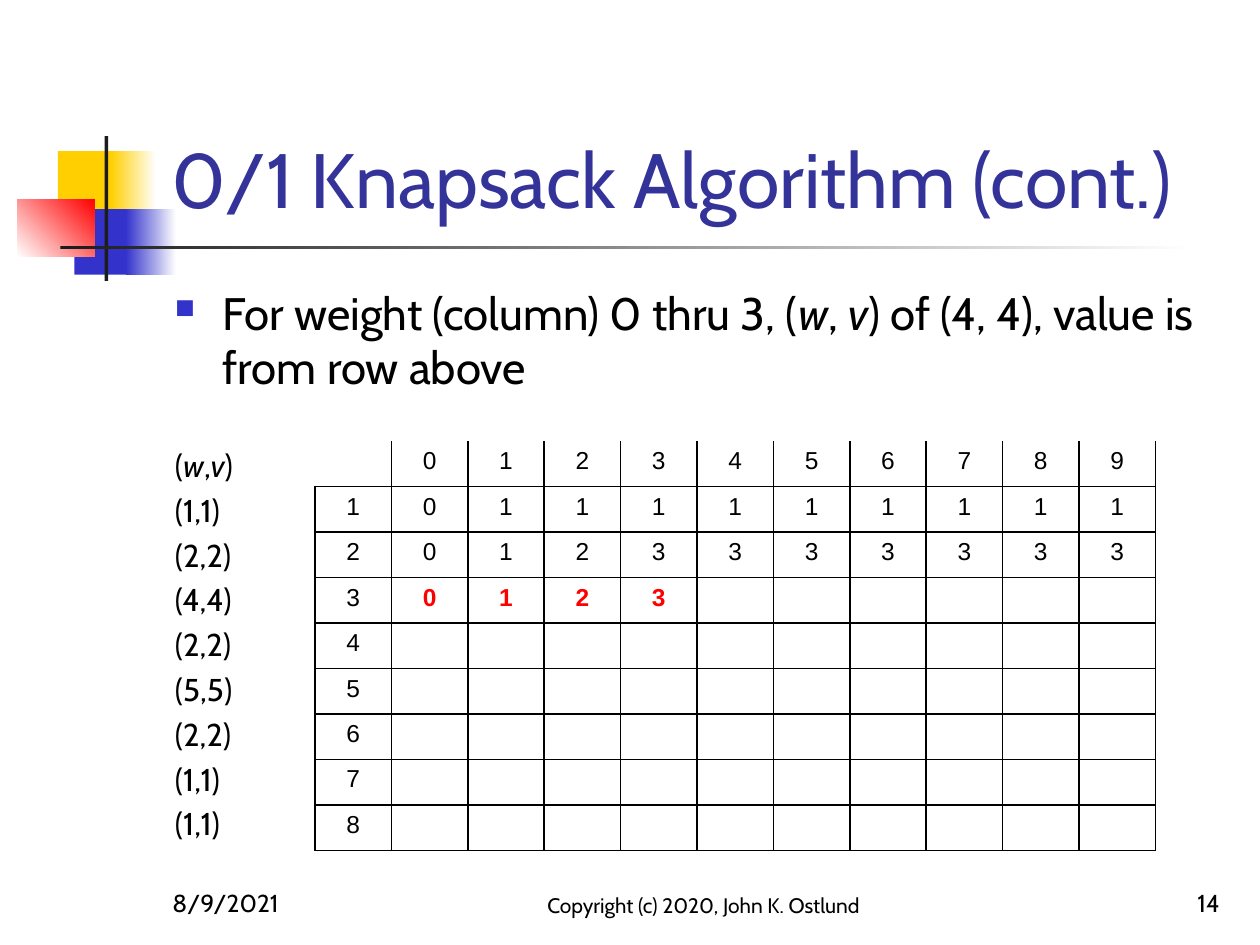
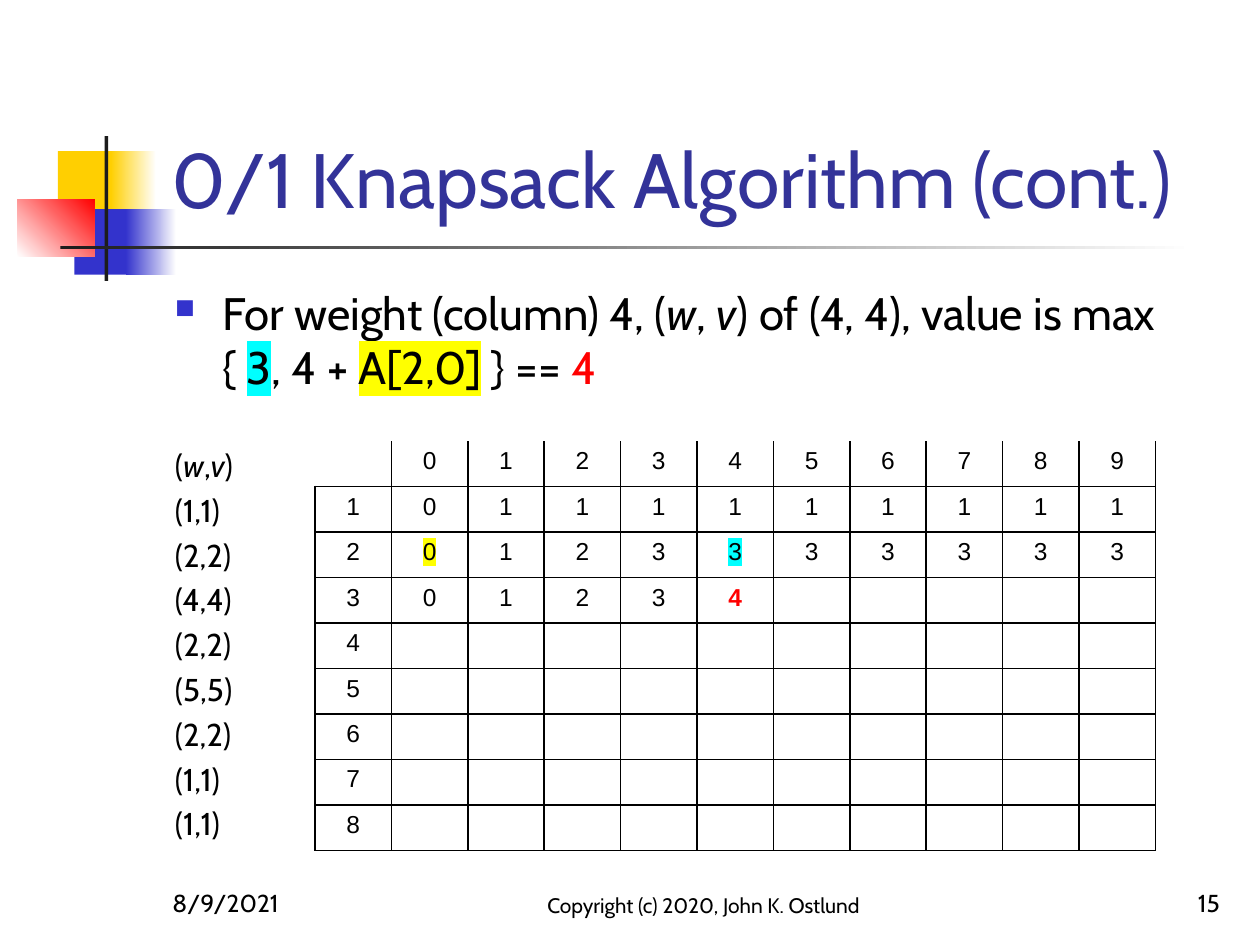
import lxml.etree
import pptx
import pptx.dml.color
import pptx.enum.shapes
import pptx.enum.text
import pptx.oxml.ns
import pptx.util

Inches = pptx.util.Inches
Pt = pptx.util.Pt
RGBColor = pptx.dml.color.RGBColor
ALIGN = pptx.enum.text.PP_ALIGN
ANCHOR = pptx.enum.text.MSO_ANCHOR
qn = pptx.oxml.ns.qn

BLACK = RGBColor(0x00, 0x00, 0x00)
WHITE = RGBColor(0xFF, 0xFF, 0xFF)
CHARCOAL = RGBColor(0x1C, 0x1C, 0x1C)
NAVY = RGBColor(0x33, 0x33, 0x99)
BLUE = RGBColor(0x33, 0x33, 0xCC)
GOLD = RGBColor(0xFF, 0xCF, 0x01)
RED = RGBColor(0xFF, 0x00, 0x00)
YELLOW = RGBColor(0xFF, 0xFF, 0x00)
CYAN = RGBColor(0x00, 0xFF, 0xFF)

BODY_FONT = "Cabin"
TABLE_FONT = "Arial"
TITLE = "0/1 Knapsack Algorithm (cont.)"
DATE = "8/9/2021"
COPYRIGHT = "Copyright (c) 2020, John K. Ostlund"

ITALIC = {"italic": True}
RESULT = {"color": RED, "bold": True}
ITEMS = ["(1,1)", "(2,2)", "(4,4)", "(2,2)", "(5,5)", "(2,2)", "(1,1)", "(1,1)"]
CAPACITIES = range(10)
FIRST_ROWS = [[0] + [1] * 9, [0, 1, 2] + [3] * 7]


def add_element(parent, tag, **attributes):
    element = lxml.etree.SubElement(parent, qn(tag))
    for name, value in attributes.items():
        element.set(name, str(value))
    return element


def write(paragraph, text, *, size, font=BODY_FONT, color=BLACK, bold=False,
          italic=False, highlight=None):
    run = paragraph.add_run()
    run.text = text
    run.font.size = Pt(size)
    run.font.name = font
    run.font.bold = bold
    run.font.italic = italic
    run.font.color.rgb = color
    if highlight is not None:
        properties = run.font._element
        mark = add_element(properties, "a:highlight")
        add_element(mark, "a:srgbClr", val=highlight)
        properties.find(qn("a:solidFill")).addnext(mark)


def write_runs(paragraph, runs, size):
    """Write (text, format) pairs; None stands for a line break."""
    for part in runs:
        if part is None:
            paragraph.add_line_break()
        else:
            text, text_format = part
            write(paragraph, text, size=size, **text_format)


def add_text_frame(slide, box, anchor=ANCHOR.TOP):
    shape = slide.shapes.add_textbox(*map(Inches, box))
    frame = shape.text_frame
    frame.word_wrap = True
    frame.vertical_anchor = anchor
    return frame


def add_line_of_text(slide, box, text, align=ALIGN.LEFT, **text_format):
    paragraph = add_text_frame(slide, box, ANCHOR.BOTTOM).paragraphs[0]
    paragraph.alignment = align
    write(paragraph, text, **text_format)


def add_block(slide, box, color, fade_to=None, angle=0):
    """Draw a borderless rectangle, plain or fading to a second colour."""
    shape = slide.shapes.add_shape(
        pptx.enum.shapes.MSO_SHAPE.RECTANGLE, *map(Inches, box))
    shape.shadow.inherit = False
    shape.line.fill.background()
    if fade_to is None:
        shape.fill.solid()
        shape.fill.fore_color.rgb = color
        return
    shape.fill.gradient()
    shape.fill.gradient_angle = angle
    for stop, stop_color in zip(shape.fill.gradient_stops, (color, fade_to)):
        stop.color.rgb = stop_color


def add_emblem(slide, left, top):
    """Draw the overlapping blocks and the two crossing bars."""
    def place(x, y, width, height, *fill):
        add_block(slide, (left + x, top + y, width, height), *fill)

    place(0.32, 0.12, 0.48, 0.52, GOLD)
    place(0.74, 0.12, 0.36, 0.52, GOLD, WHITE)
    place(0.45, 0.58, 0.46, 0.52, BLUE)
    place(0.86, 0.58, 0.40, 0.52, BLUE, WHITE)
    place(0, 0.5, 0.61, 0.46, WHITE, RED, 45)
    place(0.69, 0, 0.03, 1.15, CHARCOAL)
    place(0.34, 0.87, 9, 0.03, CHARCOAL, WHITE)


def add_footer(slide, top, number):
    height = 0.5
    add_line_of_text(slide, (1.27, top, 2.08, height), DATE, size=14)
    add_line_of_text(slide, (4, top, 3.17, height), COPYRIGHT, ALIGN.CENTER, size=12)
    add_line_of_text(slide, (7.7, top, 2.08, height), str(number), ALIGN.RIGHT, size=14)


def add_bullet(slide, box, runs):
    paragraph = add_text_frame(slide, box).paragraphs[0]
    properties = paragraph._p.get_or_add_pPr()
    properties.set("marL", str(Inches(0.38)))
    properties.set("indent", str(-Inches(0.38)))
    add_element(add_element(properties, "a:buClr"), "a:srgbClr", val=BLUE)
    add_element(properties, "a:buSzPct", val=60000)
    add_element(properties, "a:buChar", char="■")
    write_runs(paragraph, runs, 26)


def add_item_list(slide, box):
    frame = add_text_frame(slide, box)
    heading = [("(", {}), ("w", ITALIC), (",", {}), ("v", ITALIC), (")", {})]
    lines = [heading] + [[(item, {})] for item in ITEMS]
    for index, runs in enumerate(lines):
        paragraph = frame.add_paragraph() if index else frame.paragraphs[0]
        paragraph.space_after = Pt(4)
        write_runs(paragraph, runs, 18)


def set_borders(cell, visible):
    """Draw the named sides (of L, R, T, B) and clear the others."""
    properties = cell._tc.get_or_add_tcPr()
    for side in "LRTB":
        line = add_element(properties, f"a:ln{side}", w=Pt(1))
        if side in visible:
            add_element(add_element(line, "a:solidFill"), "a:srgbClr", val=BLACK)
        else:
            add_element(line, "a:noFill")


def add_value_table(slide, box, third_row, formats):
    """Fill the grid; formats maps (row, column) to a cell's text format."""
    rows = [["", *CAPACITIES]]
    known_rows = FIRST_ROWS + [third_row]
    for number in range(1, len(ITEMS) + 1):
        values = known_rows[number - 1] if number <= len(known_rows) else []
        rows.append([number, *values] + [""] * (len(CAPACITIES) - len(values)))

    left, top, width, height = map(Inches, box)
    table = slide.shapes.add_table(
        len(rows), len(rows[0]), left, top, width, height).table
    table.first_row = False
    table.horz_banding = False
    for column in table.columns:
        column.width = round(width / len(rows[0]))
    for row in table.rows:
        row.height = round(height / len(rows))

    for row_index, values in enumerate(rows):
        for column_index, value in enumerate(values):
            cell = table.cell(row_index, column_index)
            if row_index:
                set_borders(cell, "LRTB")
            else:
                set_borders(cell, "LRB" if column_index else "RB")
            cell.fill.background()
            paragraph = cell.text_frame.paragraphs[0]
            paragraph.alignment = ALIGN.CENTER
            if value == "":
                add_element(paragraph._p, "a:endParaRPr", sz=1400)
            else:
                write(paragraph, str(value), size=14, font=TABLE_FONT,
                      **formats.get((row_index, column_index), {}))


def add_knapsack_slide(presentation, number, bullet, third_row, formats):
    slide = presentation.slides.add_slide(presentation.slide_layouts[6])
    add_emblem(slide, 0.14, 1.08)
    add_line_of_text(slide, (1.26, 0.23, 8.52, 1.6), TITLE, size=44, color=NAVY)
    add_bullet(slide, (1.29, 2.21, 8.5, 1), bullet)
    add_item_list(slide, (1.29, 3.49, 1.15, 3.25))
    add_value_table(slide, (2.5, 3.5, 6.67, 3.25), third_row, formats)
    add_footer(slide, 6.83, number)


def weight_bullet(columns, ending):
    return [(f"For weight (column) {columns}, (", {}), ("w", ITALIC), (", ", {}),
            ("v", ITALIC)] + ending


def main():
    presentation = pptx.Presentation()
    presentation.slide_width = Inches(10)
    presentation.slide_height = Inches(7.5)

    add_knapsack_slide(
        presentation, 14,
        weight_bullet("0 thru 3", [(") of (4, 4), value is from row above", {})]),
        [0, 1, 2, 3],
        {(3, column): RESULT for column in range(1, 5)})

    add_knapsack_slide(
        presentation, 15,
        weight_bullet("4", [
            (") of (4, 4), value is max", {}), None, ("{ ", {}),
            ("3", {"highlight": CYAN}), (", 4 + ", {}),
            ("A[2,0]", {"highlight": YELLOW}), (" } == ", {}),
            ("4", {"color": RED})]),
        [0, 1, 2, 3, 4],
        {(2, 1): {"highlight": YELLOW}, (2, 5): {"highlight": CYAN}, (3, 5): RESULT})

    presentation.save("out.pptx")


if __name__ == "__main__":
    main()
